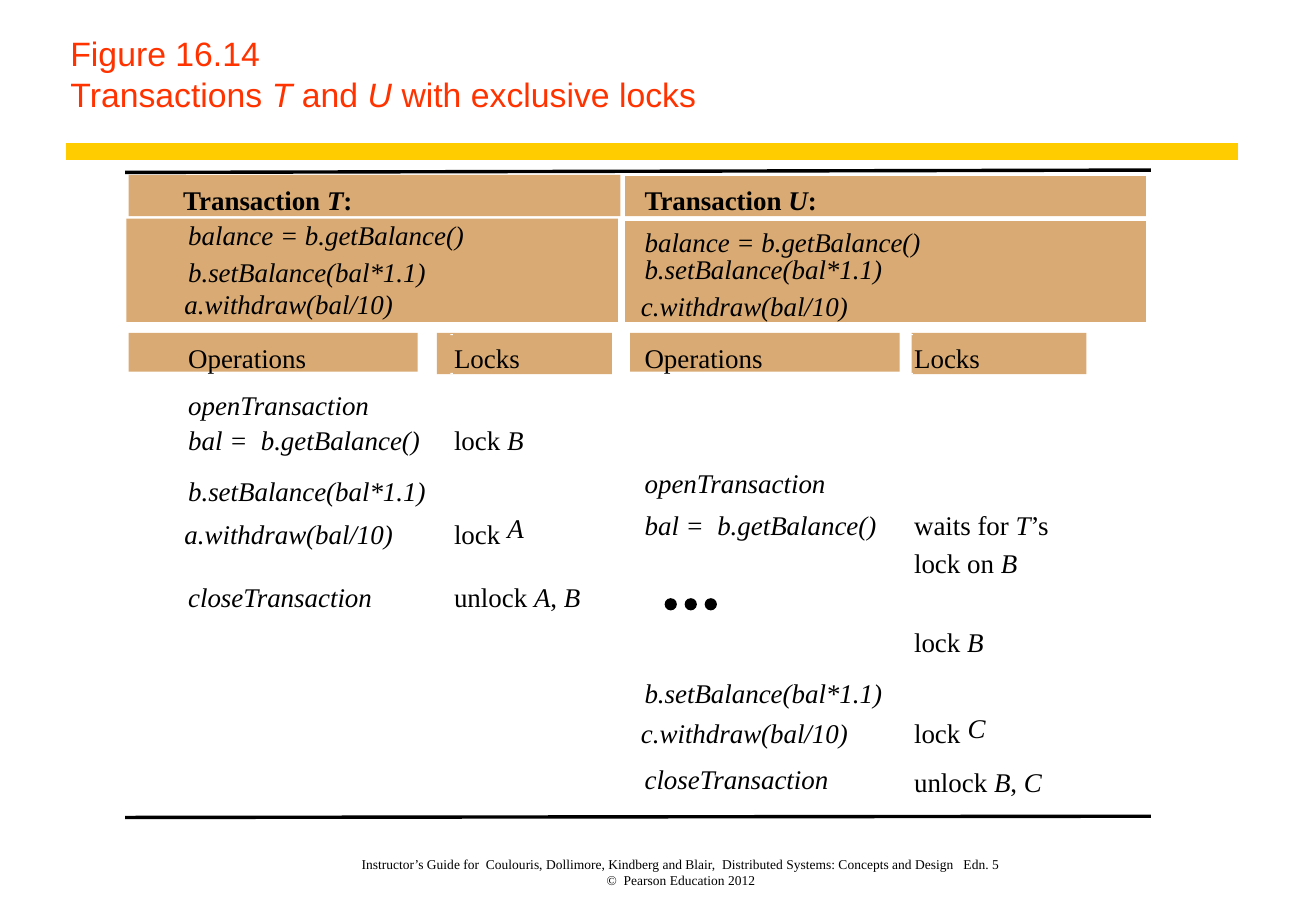
import pptx
import pptx.util
import pptx.dml.color
import pptx.enum.shapes
import pptx.enum.text
import pptx.oxml
import pptx.oxml.ns

Inches = pptx.util.Inches
SHAPES = pptx.enum.shapes.MSO_SHAPE
ANCHOR = pptx.enum.text.MSO_ANCHOR
ALIGN = pptx.enum.text.PP_ALIGN
FIT = pptx.enum.text.MSO_AUTO_SIZE

TITLE = ["Figure 16.14", "Transactions _T_ and _U_ with exclusive locks"]
FOOTER = [
    "Instructor’s Guide for  Coulouris, Dollimore, Kindberg and Blair,  "
    "Distributed Systems: Concepts and Design   Edn. 5",
    "©  Pearson Education 2012",
]
HEADINGS = [(1.51, 1.51, "Transaction _T_:"), (5.31, 1.51, "Transaction _U_:")]
COLUMNS = {
    1.55: [
        (1.8, "_balance = b.getBalance()_"),
        (2.1, "_b.setBalance(bal*1.1)_"),
        (2.37, "_a.withdraw(bal/10)_"),
        (2.81, "Operations"),
        (3.2, "_openTransaction_"),
        (3.49, "_bal =  b.getBalance()_"),
        (3.91, "_b.setBalance(bal*1.1)_"),
        (4.26, "_a.withdraw(bal/10)_"),
        (4.78, "_closeTransaction_"),
    ],
    3.74: [
        (2.81, "Locks"),
        (3.49, "lock _B_"),
        (4.26, "lock"),
        (4.78, "unlock _A_, _B_"),
    ],
    4.18: [(4.21, "_A_")],
    5.31: [
        (1.86, "_balance = b.getBalance()_"),
        (2.08, "_b.setBalance(bal*1.1)_"),
        (2.38, "_c.withdraw(bal/10)_"),
        (2.81, "Operations"),
        (3.84, "_openTransaction_"),
        (4.19, "_bal =  b.getBalance()_"),
        (5.57, "_b.setBalance(bal*1.1)_"),
        (5.9, "_c.withdraw(bal/10)_"),
        (6.28, "_closeTransaction_"),
    ],
    7.53: [
        (2.81, "Locks"),
        (4.19, "waits for _T_’s"),
        (4.5, "lock on _B_"),
        (5.15, "lock _B_"),
        (5.9, "lock"),
        (6.3, "unlock _B_, _C_"),
    ],
    7.97: [(5.86, "_C_")],
}
WIDTHS = {
    "Transaction _T_:": 1.39, "Transaction _U_:": 1.41,
    "_balance = b.getBalance()_": 2.27, "_b.setBalance(bal*1.1)_": 1.96,
    "_a.withdraw(bal/10)_": 1.72, "_c.withdraw(bal/10)_": 1.71,
    "_bal =  b.getBalance()_": 1.91, "_openTransaction_": 1.5,
    "_closeTransaction_": 1.53, "Operations": 0.97, "Locks": 0.54,
    "lock": 0.39, "lock _B_": 0.58, "lock on _B_": 0.85,
    "waits for _T_’s": 1.1, "unlock _A_, _B_": 1.04,
    "unlock _B_, _C_": 1.05, "_A_": 0.14, "_C_": 0.15,
}
BANDS = [
    (1.06, 1.44, 4.05, 0.34), (5.15, 1.45, 4.29, 0.33),
    (1.04, 1.8, 4.05, 0.85), (5.15, 1.82, 4.29, 0.83),
    (1.06, 2.74, 2.38, 0.32), (3.6, 2.74, 1.44, 0.34),
    (5.19, 2.74, 2.22, 0.32), (7.51, 2.74, 1.44, 0.34),
]
NOTCHES = {2.75: [3.71, 7.5], 3.07: [3.71, 7.5], 6.54: [3.71, 5.11, 7.5]}
RULES = [
    ((0.54, 1.25, 10.2, 1.25), "accent", 10),
    ((1.03, 1.42, 9.48, 1.4), "ink", 2),
    ((1.03, 6.73, 9.48, 6.72), "ink", 2),
]
LINE_HEIGHT = 0.27
WIDTH_SLACK = 0.08
WITHDRAW_SHIFT = -0.03
NOTCH_SIZE = (0.02, 0.01)
DOT_LEFT, DOT_TOP, DOT_SIZE, DOT_STEP, DOT_COUNT = 5.48, 4.93, 0.09, 0.165, 3

THEME = {
    "ink": "000000", "accent": "FFCC00", "band": "D9AA73", "title": "FF3300",
    "paper": "FFFFFF",
    "title_font": {"name": "Arial", "size": 20, "bold": False},
    "heading_font": {"name": "Times New Roman", "size": 16, "bold": True},
    "body_font": {"name": "Times New Roman", "size": 16, "bold": False},
    "footer_font": {"name": "Times New Roman", "size": 8, "bold": False},
}


def colour(name):
    return pptx.dml.color.RGBColor.from_string(THEME[name])


def apply(target, values):
    for name, value in values.items():
        setattr(target, name, value)


def write(box, lines, font, ink="ink", align=ALIGN.LEFT, **frame_values):
    frame = box.text_frame
    margins = dict.fromkeys(
        ["margin_left", "margin_top", "margin_right", "margin_bottom"], 0)
    apply(frame, {**margins, "word_wrap": True, "auto_size": FIT.NONE,
                  **frame_values})
    para = frame.paragraphs[0]
    para.alignment = align
    values = {**THEME[font], "size": pptx.util.Pt(THEME[font]["size"])}
    for number, line in enumerate(lines):
        if number:
            para.add_line_break()
        for index, piece in enumerate(line.split("_")):
            if piece:
                span = para.add_run()
                span.text = piece
                apply(span.font, {**values, "italic": index % 2 == 1})
                span.font.color.rgb = colour(ink)


def add_filled(page, kind, place, fill):
    shape = page.shapes.add_shape(kind, *map(Inches, place))
    shape.shadow.inherit = False
    shape.fill.solid()
    shape.fill.fore_color.rgb = colour(fill)
    shape.line.fill.background()
    return shape


def add_rule(page, ends, ink, width):
    rule = page.shapes.add_connector(
        pptx.enum.shapes.MSO_CONNECTOR.STRAIGHT, *map(Inches, ends))
    rule.line.color.rgb = colour(ink)
    rule.line.width = pptx.util.Pt(width)
    rule._element.spPr.append(pptx.oxml.parse_xml(
        "<a:effectLst %s/>" % pptx.oxml.ns.nsdecls("a")))


def add_label(page, left, top, text, font):
    width = WIDTHS[text] + WIDTH_SLACK
    box = page.shapes.add_textbox(
        *map(Inches, (left, top, width, LINE_HEIGHT)))
    write(box, [text], font)


def main():
    deck = pptx.Presentation()
    apply(deck, {"slide_width": Inches(10.84), "slide_height": Inches(7.5)})
    page = deck.slides.add_slide(deck.slide_layouts[5])

    title = page.shapes.title
    apply(title, {"left": Inches(0.48), "top": Inches(0),
                  "width": Inches(9.72), "height": Inches(1)})
    write(title, TITLE, "title_font", "title", vertical_anchor=ANCHOR.BOTTOM,
          margin_left=Inches(0.1), margin_right=Inches(0.14),
          margin_top=Inches(0.06), margin_bottom=Inches(0.06))

    footer = page.shapes.add_textbox(*map(Inches, (2.35, 6.92, 6.6, 0.39)))
    write(footer, FOOTER, "footer_font", align=ALIGN.CENTER,
          vertical_anchor=ANCHOR.BOTTOM, margin_right=Inches(0.08))

    for place in BANDS:
        add_filled(page, SHAPES.RECTANGLE, place, "band")
    for top, lefts in NOTCHES.items():
        for left in lefts:
            place = (left, top, *NOTCH_SIZE)
            add_filled(page, SHAPES.RECTANGLE, place, "paper")
    for ends, ink, width in RULES:
        add_rule(page, ends, ink, width)

    for left, top, text in HEADINGS:
        add_label(page, left, top, text, "heading_font")
    for left, entries in COLUMNS.items():
        for top, text in entries:
            shift = WITHDRAW_SHIFT if "withdraw" in text else 0
            add_label(page, left + shift, top, text, "body_font")

    for index in range(DOT_COUNT):
        place = (DOT_LEFT + index * DOT_STEP, DOT_TOP, DOT_SIZE, DOT_SIZE)
        dot = add_filled(page, SHAPES.OVAL, place, "ink")
        dot.line.color.rgb = colour("ink")
        dot.line.width = pptx.util.Pt(0.75)

    deck.save("out.pptx")


if __name__ == "__main__":
    main()
